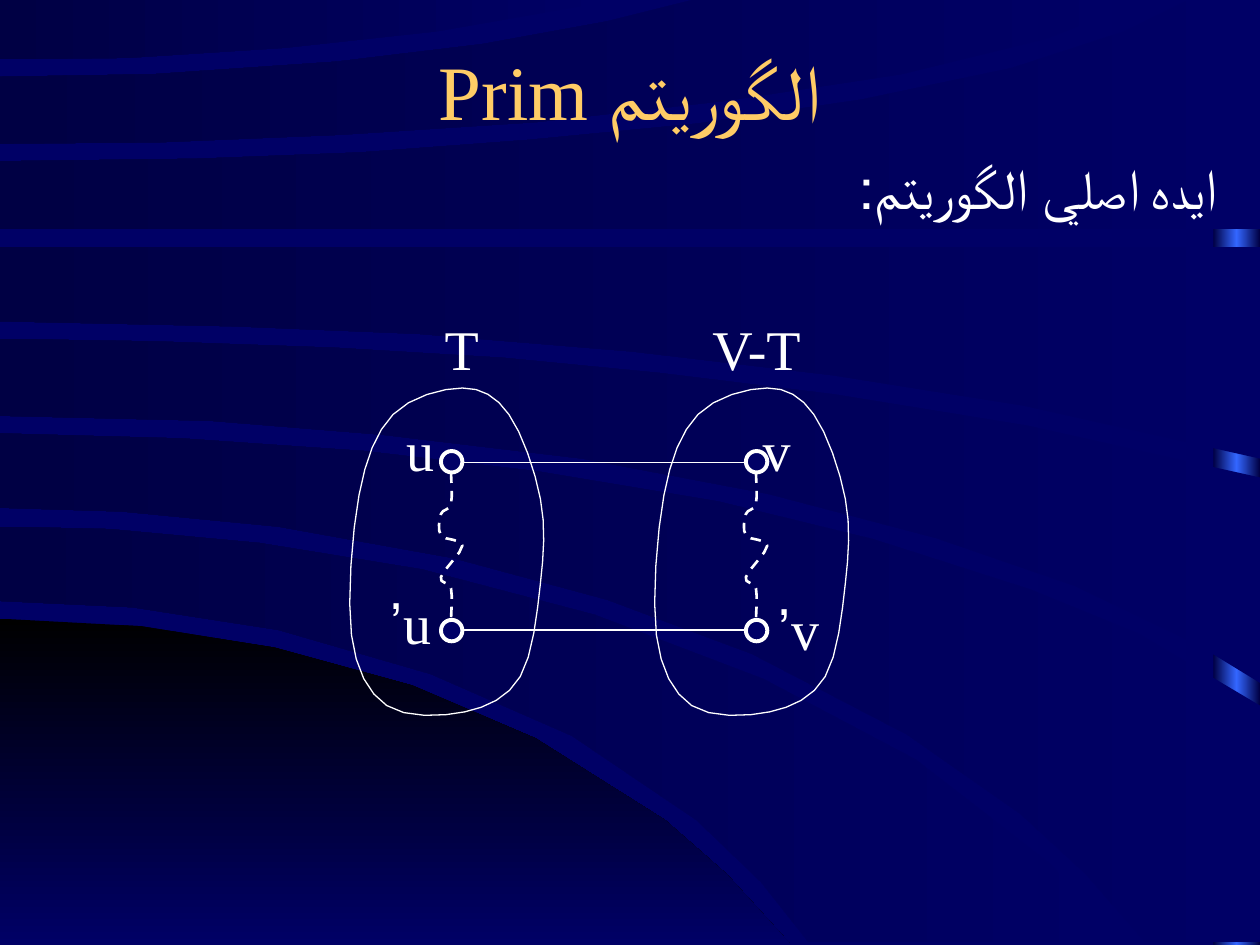
"""Build a slide on the main idea of Prim's algorithm."""
from copy import deepcopy
from dataclasses import dataclass

from lxml import etree
from pptx import Presentation
from pptx import util as u
from pptx.dml import color
from pptx.enum import dml, shapes, text
from pptx.oxml import ns


@dataclass(frozen=True)
class Theme:
    """Colours, font and type sizes of the deck."""
    base: str = "000066"
    dark: str = "000044"
    glow: str = "3366FF"
    black: str = "000000"
    ink: str = "FFFFFF"
    gold: str = "FFCC66"
    font: str = "Times New Roman"
    title: int = 44
    body: int = 32
    thin: float = 0.75
    dash: float = 1.5
    ring: float = 2.25


COLS, ROWS = 10, 7.5
CELL = u.Inches(1)
STEPS = 4

HILL = [(0, 4.91), (1.12, 4.97), (2.18, 5.14), (3.27, 5.44), (4.25, 5.86),
        (5.28, 6.51), (5.77, 6.94), (6.28, 7.5)]
BANDS = [
    ([(0, 4.18), (0.87, 4.2), (2.06, 4.31), (3.35, 4.52), (4.72, 4.88),
      (6.06, 5.39), (7.27, 6.03), (8.33, 6.85), (8.93, 7.48)],
     [(0, 4.77), (1.05, 4.82), (2.21, 5), (3.42, 5.35), (4.54, 5.84),
      (5.53, 6.51), (6.04, 7), (6.42, 7.48)]),
    ([(0, 3.44), (1.44, 3.48), (2.89, 3.58), (4.26, 3.74), (5.7, 3.98),
      (6.93, 4.28), (8.18, 4.68), (9.04, 5.03), (10, 5.6)],
     [(0, 4.03), (0.97, 4.06), (2.21, 4.18), (3.6, 4.43), (4.82, 4.76),
      (5.97, 5.19), (7.2, 5.83), (8.1, 6.46), (8.62, 6.94), (9.09, 7.48),
      (10, 7.48)]),
    ([(0, 2.69), (1.24, 2.71), (2.65, 2.76), (3.99, 2.84), (5.23, 2.96),
      (6.62, 3.13), (8.16, 3.38), (10, 3.79)],
     [(0, 3.3), (1.67, 3.34), (3.03, 3.45), (4.62, 3.64), (6.1, 3.92),
      (7.43, 4.27), (8.53, 4.65), (9.51, 5.12), (10, 5.42)]),
    ([(0, 1.96), (10, 1.96)],
     [(0, 2.55), (1.86, 2.59), (3.32, 2.65), (5.02, 2.79), (6.62, 2.98),
      (8.13, 3.22), (10, 3.64)]),
    ([(0, 1.28), (1.57, 1.26), (2.86, 1.21), (4.2, 1.11), (5.54, 0.98),
      (6.84, 0.79), (8.03, 0.54), (8.92, 0.25), (9.43, 0), (10, 0)],
     [(0, 1.82), (10, 1.82)]),
    ([(0, 0.61), (1.21, 0.59), (2.67, 0.49), (3.83, 0.35), (4.82, 0.17),
      (5.5, 0), (9.1, 0)],
     [(0, 1.14), (1.26, 1.13), (2.7, 1.07), (4.25, 0.97), (5.77, 0.8),
      (7.15, 0.59), (8.3, 0.31)]),
    ([(0, 0), (4.9, 0)],
     [(0, 0.47), (1.01, 0.46), (2.26, 0.38), (3.46, 0.25)]),
]
BLOB = [(3.67, 3.08), (3.12, 3.29), (2.85, 3.93), (2.79, 5.04), (3.07, 5.6),
        (3.69, 5.65), (4.13, 5.37), (4.29, 4.63), (4.29, 3.96), (4.04, 3.29)]
TRAIL = [(3.58, 3.75), (3.58, 4), (3.5, 4.08), (3.5, 4.25), (3.67, 4.33),
         (3.5, 4.58), (3.58, 4.67), (3.58, 4.92)]
LABELS = [("T", 3.33, 2.45, 0.67), ("V-T", 5.42, 2.45, 1.17),
          ("u", 3, 3.25, 0.67), ("u’", 2.92, 4.62, 0.67),
          ("v’", 6, 4.67, 0.67), ("v", 5.83, 3.25, 0.67)]


def rgb(code):
    """Turn a hex code into a colour."""
    return color.RGBColor.from_string(code)


def curve(knots, loop=False):
    """Trace a smooth curve through the knots."""
    ends = (knots[-1:], knots[:2]) if loop else (knots[:1], knots[-1:])
    knots = ends[0] + knots + ends[1]
    trace = [knots[1]]
    for a, b, c, d in zip(knots, knots[1:], knots[2:], knots[3:]):
        for step in range(1, STEPS + 1):
            t = step / STEPS
            trace.append(tuple(
                q + t / 2 * (r - p + t * (2 * p - 5 * q + 4 * r - s
                                          + t * (3 * (q - r) + s - p)))
                for p, q, r, s in zip(a, b, c, d)))
    return trace


def shift(knots, gap):
    """Move knots to the right by a gap."""
    return [(x + gap, y) for x, y in knots]


class Board:
    """Draw styled elements on the current slide."""

    def __init__(self, deck, theme):
        """Add a blank slide with the theme's backdrop."""
        self.theme = theme
        self.slide = deck.slides.add_slide(deck.slide_layouts[6])
        self.items = self.slide.shapes
        fill = self.slide.background.fill
        fill.solid()
        fill.fore_color.rgb = rgb(theme.base)

    def blend(self, shape, codes, angle):
        """Fill a shape with evenly spread colours and no line."""
        shape.shadow.inherit = False
        shape.line.fill.background()
        shape.fill.gradient()
        shape.fill.gradient_angle = angle
        if len(codes) > len(shape.fill.gradient_stops):
            stops = shape._element.spPr.find(".//" + ns.qn("a:gsLst"))
            stops.insert(1, deepcopy(stops[0]))
        for i, (stop, code) in enumerate(zip(shape.fill.gradient_stops, codes)):
            stop.position = i / (len(codes) - 1)
            stop.color.rgb = rgb(code)

    def stroke(self, shape, width):
        """Give a shape or line a plain outline."""
        shape.line.color.rgb = rgb(self.theme.ink)
        shape.line.width = u.Pt(width)

    def shape(self, trace, close):
        """Build an outline from a trace of grid points."""
        marks = [(round(x * CELL), round(y * CELL)) for x, y in trace]
        pen = self.items.build_freeform(*marks[0])
        pen.add_line_segments(marks[1:], close=close)
        return pen.convert_to_shape()

    def area(self, trace, codes, angle):
        """Draw a closed area with blended colours."""
        self.blend(self.shape(trace, True), codes, angle)

    def edge(self, knots, width, loop=False, dash=False):
        """Draw an unfilled curve."""
        shape = self.shape(curve(knots, loop), loop)
        shape.shadow.inherit = False
        shape.fill.background()
        self.stroke(shape, width)
        if dash:
            shape.line.dash_style = dml.MSO_LINE.DASH

    def strip(self, x, y, w, h, codes):
        """Draw a blended rectangle."""
        box = [round(n * CELL) for n in (x, y, w, h)]
        self.blend(self.items.add_shape(shapes.MSO_SHAPE.RECTANGLE, *box), codes, 180)

    def node(self, x, y, size):
        """Draw a ring for a vertex."""
        box = [round(n * CELL) for n in (x, y, size, size)]
        ring = self.items.add_shape(shapes.MSO_SHAPE.OVAL, *box)
        ring.shadow.inherit = False
        ring.fill.solid()
        ring.fill.fore_color.rgb = rgb(self.theme.base)
        self.stroke(ring, self.theme.ring)

    def link(self, x, y, end):
        """Draw a level line between two columns."""
        ends = [round(n * CELL) for n in (x, y, end, y)]
        line = self.items.add_connector(shapes.MSO_CONNECTOR.STRAIGHT, *ends)
        self.stroke(line, self.theme.thin)
        etree.SubElement(line._element.spPr, ns.qn("a:effectLst"))

    def words(self, label, x, y, w, h=0.64, size=None, tint=None,
              align=text.PP_ALIGN.CENTER, anchor=text.MSO_ANCHOR.TOP):
        """Write one right-to-left paragraph."""
        box = self.items.add_textbox(*[round(n * CELL) for n in (x, y, w, h)])
        frame = box.text_frame
        frame.word_wrap = True
        frame.vertical_anchor = anchor
        para = frame.paragraphs[0]
        para.text = label
        para.alignment = align
        para._p.get_or_add_pPr().set("rtl", "1")
        font = para.font
        font.size = u.Pt(size or self.theme.body)
        font.color.rgb = rgb(tint or self.theme.ink)
        font.name = self.theme.font


def main():
    """Compose the slide and save it."""
    deck = Presentation()
    deck.slide_width, deck.slide_height = round(COLS * CELL), round(ROWS * CELL)
    theme = Theme()
    board = Board(deck, theme)
    board.strip(9.63, 0, 0.37, ROWS, (theme.dark, theme.glow, theme.dark))
    board.area(HILL + [(0, ROWS)], (theme.black, theme.base), 270)
    for top, base in BANDS:
        board.area(top + base[::-1], (theme.base, theme.dark), 180)
    board.words("الگوريتم Prim", 0.75, 0.25, 8.5, 0.92, theme.title, theme.gold,
                anchor=text.MSO_ANCHOR.MIDDLE)
    board.words("ايده اصلي الگوريتم:", 0.17, 1.17, 9.58, align=text.PP_ALIGN.RIGHT)
    for gap in (0, 2.42):
        board.edge(shift(BLOB, gap), theme.thin, loop=True)
        board.edge(shift(TRAIL, gap), theme.dash, dash=True)
        for y in (3.58, 4.92):
            board.node(3.5 + gap, y, 0.17)
    for y in (3.67, 5):
        board.link(3.67, y, 5.92)
    for label in LABELS:
        board.words(*label)
    deck.save("out.pptx")


if __name__ == "__main__":
    main()
